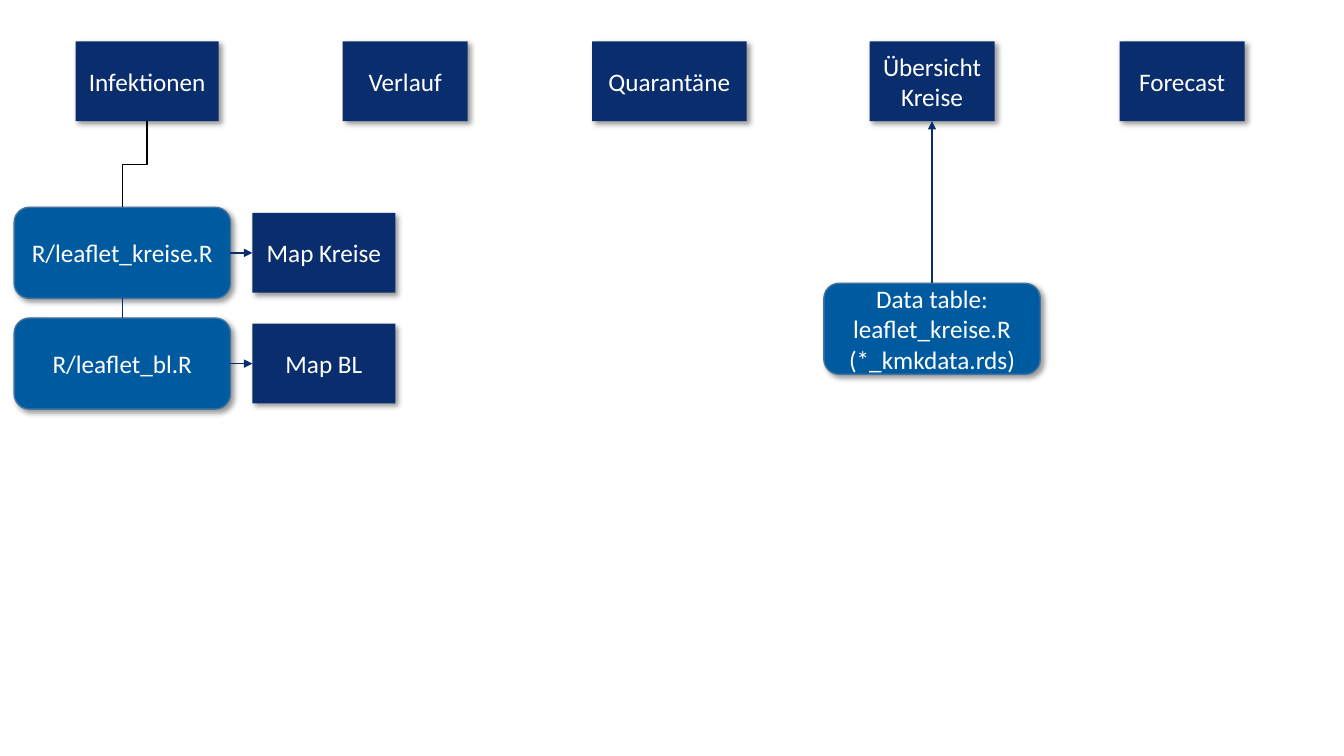
from dataclasses import dataclass

from lxml import etree
from pptx import Presentation, util as u
from pptx.dml.color import RGBColor
from pptx.enum import shapes, text
from pptx.oxml import parse_xml
from pptx.oxml.ns import nsdecls, qn


@dataclass(frozen=True)
class Theme:
    navy: str = "0A2D6E"
    blue: str = "005AA0"
    outline: str = "43739E"
    black: str = "000000"
    white: str = "FFFFFF"
    font: str = "Calibri"
    size: int = 18
    stroke: int = 1


theme = Theme()
deck = Presentation()
deck.slide_width, deck.slide_height = u.Inches(13.33), u.Inches(7.5)
slide = deck.slides.add_slide(deck.slide_layouts[6])

SHADOW = f"""<a:effectLst {nsdecls('a')}>
<a:outerShdw blurRad="{u.Pt(4)}" dist="{u.Pt(3)}" dir="2700000" algn="tl" rotWithShape="0">
<a:srgbClr val="{theme.black}"><a:alpha val="40000"/></a:srgbClr>
</a:outerShdw></a:effectLst>"""


def add_box(label, center_x, center_y, width, height, script=False):
    """Add a centred box; all lengths are percentages of the slide."""
    across, down = deck.slide_width / 100, deck.slide_height / 100
    preset = shapes.MSO_SHAPE.ROUNDED_RECTANGLE if script else shapes.MSO_SHAPE.RECTANGLE
    box = slide.shapes.add_shape(
        preset, int((center_x - width / 2) * across), int((center_y - height / 2) * down),
        int(width * across), int(height * down))
    box.fill.solid()
    box.fill.fore_color.rgb = RGBColor.from_string(theme.blue if script else theme.navy)
    if script:
        box.line.color.rgb = RGBColor.from_string(theme.outline)
        box.line.width = u.Pt(theme.stroke)
    else:
        box.line.fill.background()
    box._element.spPr.append(parse_xml(SHADOW))

    frame = box.text_frame
    frame.text = label
    frame.word_wrap = True
    frame.vertical_anchor = text.MSO_ANCHOR.MIDDLE
    paragraph = frame.paragraphs[0]
    paragraph.alignment = text.PP_ALIGN.CENTER
    font = paragraph.runs[0].font
    font.name, font.size = theme.font, u.Pt(theme.size)
    font.color.rgb = RGBColor.from_string(theme.white)
    return box


def add_link(start, start_site, end, end_site, color=theme.navy, arrow=True,
             kind=shapes.MSO_CONNECTOR.STRAIGHT):
    """Glue a line to two boxes at their connection sites."""
    link = slide.shapes.add_connector(kind, 0, 0, 0, 0)
    link.begin_connect(start, start_site)
    link.end_connect(end, end_site)
    link.line.color.rgb = RGBColor.from_string(color)
    link.line.width = u.Pt(theme.stroke)
    if arrow:
        etree.SubElement(link.line._get_or_add_ln(), qn("a:tailEnd"), type="triangle")
    etree.SubElement(link._element.spPr, qn("a:effectLst"))
    return link


TOP, LEFT, BOTTOM, RIGHT = range(4)
BOX_HEIGHT, SCRIPT_WIDTH, SCRIPT_HEIGHT = 10.55, 16.1, 12.05

# Dashboard tabs: label, centre, width
tabs = {}
for label, center, width in [
    ("Infektionen", 10.95, 10.65),
    ("Verlauf", 30.15, 9.3),
    ("Quarantäne", 49.8, 11.5),
    ("Übersicht Kreise", 69.35, 9.3),
    ("Forecast", 87.95, 9.3),
]:
    tabs[label] = add_box(label, center, 10.75, width, BOX_HEIGHT)

# Data table feeding the overview tab
data_table = add_box("Data table: leaflet_kreise.R (*_kmkdata.rds)", 69.35, 43.5,
                     SCRIPT_WIDTH, SCRIPT_HEIGHT, script=True)
add_link(data_table, TOP, tabs["Übersicht Kreise"], BOTTOM)

# Scripts of the infections tab, each with its map
scripts = []
for row, (script_name, map_name) in enumerate([
    ("R/leaflet_kreise.R", "Map Kreise"),
    ("R/leaflet_bl.R", "Map BL"),
]):
    center_y = 33.45 + 14.65 * row
    script = add_box(script_name, 9.1, center_y, SCRIPT_WIDTH, SCRIPT_HEIGHT, script=True)
    map_box = add_box(map_name, 24.1, center_y, 10.65, BOX_HEIGHT)
    add_link(script, RIGHT, map_box, LEFT)
    scripts.append(script)
add_link(scripts[0], BOTTOM, scripts[1], TOP, arrow=False)

# Elbow from the infections tab, turned a quarter so that it leaves downwards
elbow = add_link(tabs["Infektionen"], BOTTOM, scripts[0], TOP, theme.black, arrow=False,
                 kind=shapes.MSO_CONNECTOR.ELBOW)
shift, drop = elbow.width, elbow.height
elbow.left += (shift - drop) // 2
elbow.top += (drop - shift) // 2
elbow.width, elbow.height = drop, shift
frame = elbow._element.spPr.find(qn("a:xfrm"))
frame.attrib.pop("flipH", None)
frame.set("rot", "5400000")

deck.save("out.pptx")
